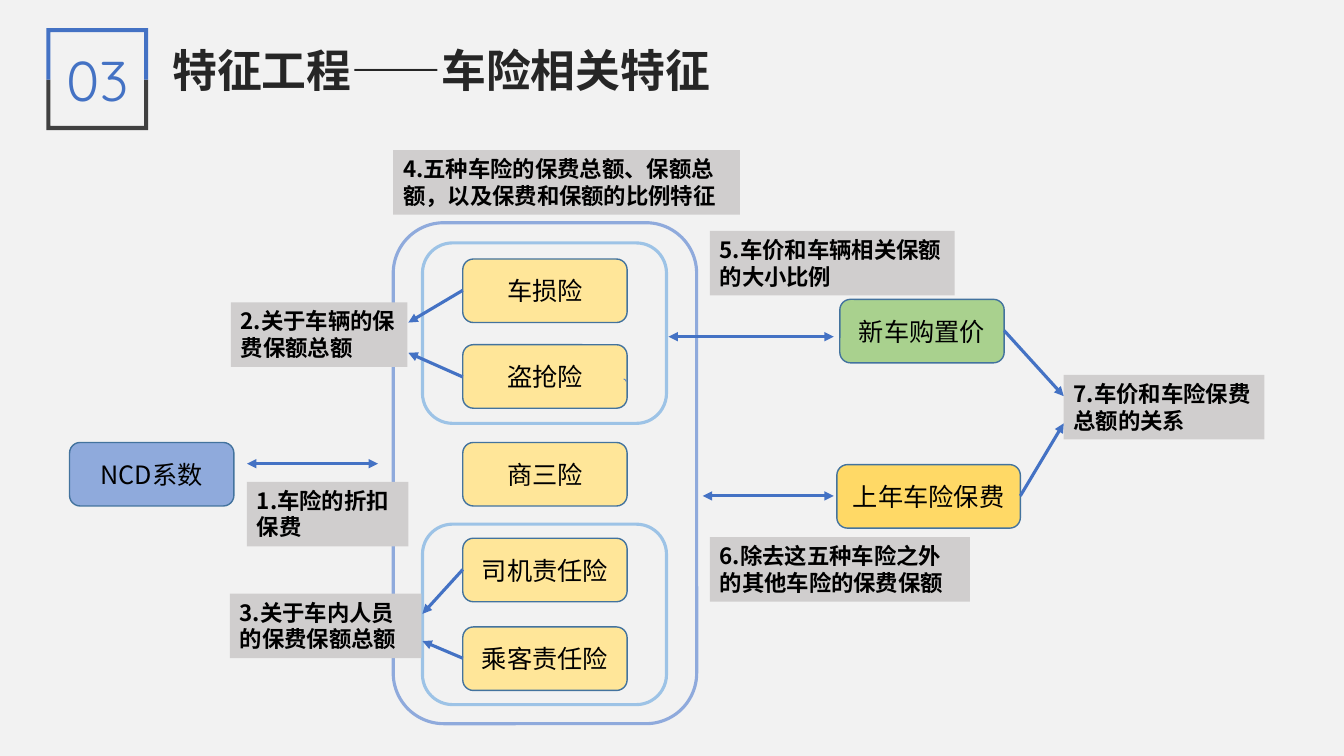
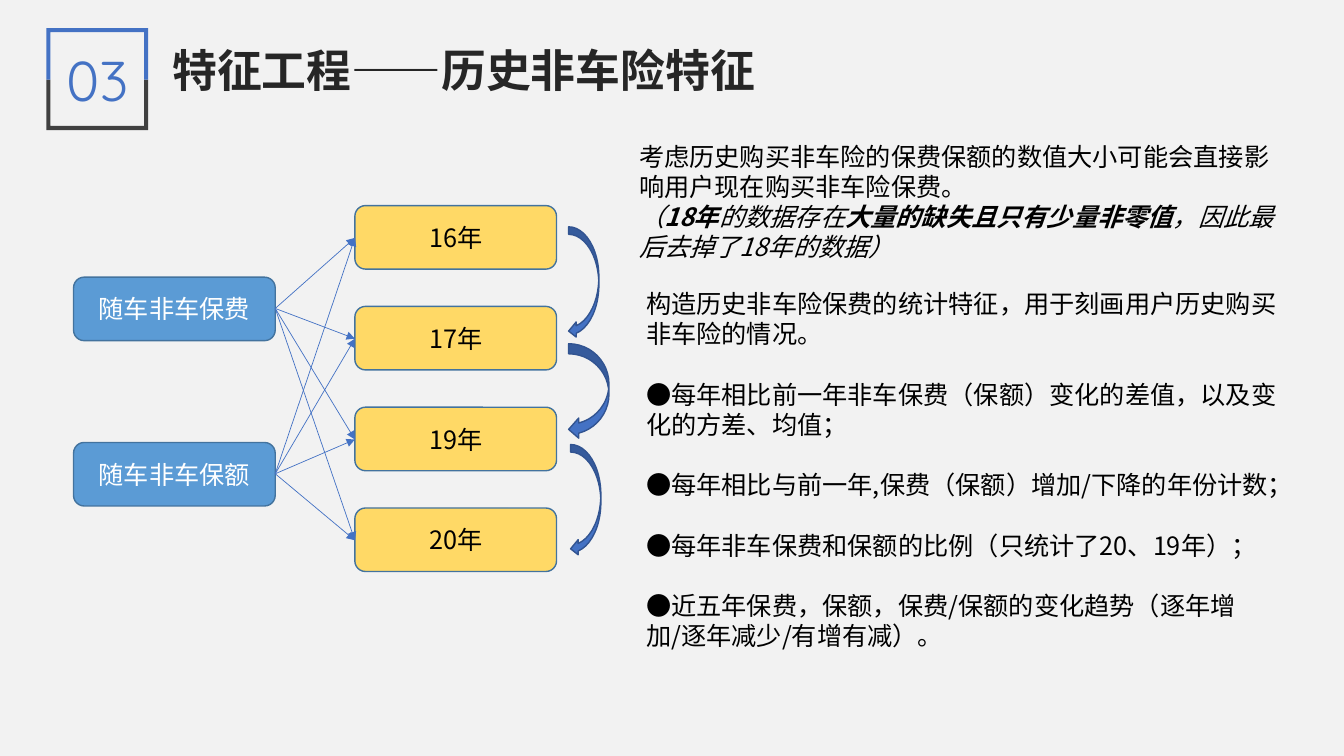
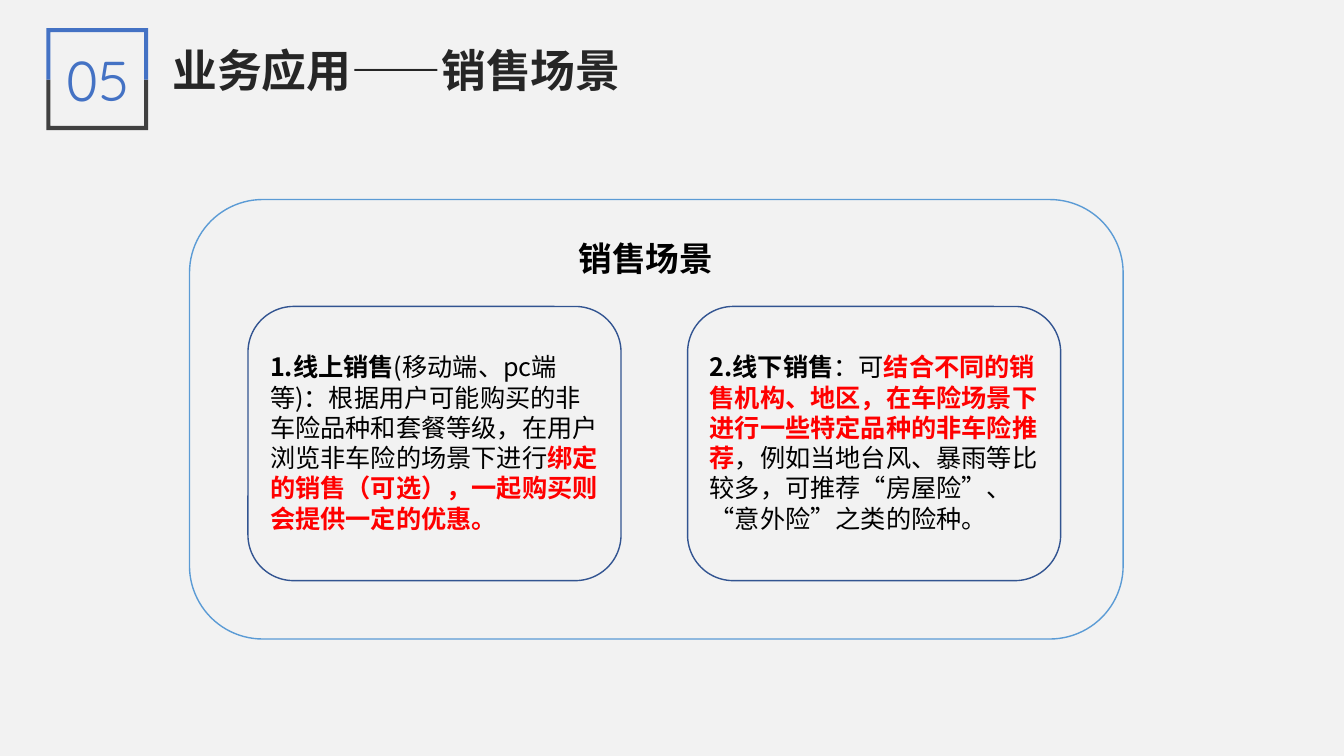
"""Build three slides on insurance features and sales scenarios."""
from lxml import etree
from pptx import Presentation
from pptx.dml.color import RGBColor
from pptx.enum.shapes import MSO_CONNECTOR, MSO_SHAPE
from pptx.enum.text import MSO_ANCHOR, MSO_AUTO_SIZE, PP_ALIGN
from pptx.oxml.ns import qn
from pptx.util import Pt

PX = 9144
BODY_FONT = "Noto Sans CJK SC"
NUMBER_FONT = "Quicksand"

BACKGROUND = "F2F2F2"
BLACK = "000000"
WHITE = "FFFFFF"
RED = "FF0000"
TITLE_INK = "262626"
DARK = "404040"
BLUE = "4472C4"
DEEP_BLUE = "325491"
CARD_EDGE = "43739E"
PERIWINKLE = "8FAADC"
PALE_BLUE = "9DC3E6"
SKY = "5B9BD5"
CREAM = "FFE699"
GOLD = "FFD966"
GREEN = "A9D18E"
GREY = "D0CECE"

ROUNDED = MSO_SHAPE.ROUNDED_RECTANGLE
RECTANGLE = MSO_SHAPE.RECTANGLE
ARC = MSO_SHAPE.ARC
CURVED_ARROW = MSO_SHAPE.CURVED_LEFT_ARROW
STRAIGHT = MSO_CONNECTOR.STRAIGHT
LEFT = PP_ALIGN.LEFT
CENTER = PP_ALIGN.CENTER
TOP = MSO_ANCHOR.TOP
MIDDLE = MSO_ANCHOR.MIDDLE
GROW = MSO_AUTO_SIZE.SHAPE_TO_FIT_TEXT

CARD_HEIGHT = 63


def rgb(value):
    """Turn a hex string into a colour."""
    return RGBColor.from_string(value)


def emu(lengths):
    """Turn pixel lengths into EMU."""
    return [length * PX for length in lengths]


def write(frame, paragraphs, size, color=BLACK, bold=False, align=LEFT,
          font=BODY_FONT, gap=0):
    """Fill a frame with strings or lists of (text, emphasis colour) runs."""
    frame.word_wrap = True
    for index, content in enumerate(paragraphs):
        paragraph = frame.add_paragraph() if index else frame.paragraphs[0]
        paragraph.alignment = align
        paragraph.space_before = Pt(gap if index else 0)
        style = paragraph.font
        style.name, style.size, style.bold = font, Pt(size), bold
        style.color.rgb = rgb(color)
        defaults = paragraph._p.pPr.find(qn("a:defRPr"))
        etree.SubElement(defaults, qn("a:ea"), typeface=font)
        runs = [(content, None)] if isinstance(content, str) else content
        for text, emphasis in runs:
            run = paragraph.add_run()
            run.text = text
            if emphasis:
                run.font.bold = True
                run.font.color.rgb = rgb(emphasis)


def add_text(slide, box, paragraphs, size, **style):
    """Add a text box and return its text frame."""
    frame = slide.shapes.add_textbox(*emu(box)).text_frame
    write(frame, paragraphs, size, **style)
    return frame


def paint(shape, fill=None, line=None, width=1):
    """Set fill and outline, and drop the shadow."""
    shape.shadow.inherit = False
    if fill:
        shape.fill.solid()
        shape.fill.fore_color.rgb = rgb(fill)
    else:
        shape.fill.background()
    if line:
        shape.line.color.rgb = rgb(line)
        shape.line.width = Pt(width)
    else:
        shape.line.fill.background()


def add_figure(slide, preset, box, fill=None, line=None, width=1):
    """Add a painted preset shape."""
    figure = slide.shapes.add_shape(preset, *emu(box))
    paint(figure, fill, line, width)
    return figure


def add_card(slide, left, top, width, label, fill, ink=BLACK):
    """Add a rounded card with a centred label."""
    card = add_figure(slide, ROUNDED, (left, top, width, CARD_HEIGHT), fill, CARD_EDGE)
    card.text_frame.vertical_anchor = MIDDLE
    write(card.text_frame, [label], 18, ink, align=CENTER)


def add_callout(slide, left, top, width, label):
    """Add a grey two-line remark."""
    callout = add_figure(slide, RECTANGLE, (left, top, width, 64), GREY)
    callout.text_frame.vertical_anchor = TOP
    callout.text_frame.auto_size = GROW
    write(callout.text_frame, [label], 16, bold=True)


def add_arrow(slide, start, end, width, both=False):
    """Add a straight arrow with one or two heads."""
    arrow = slide.shapes.add_connector(STRAIGHT, *emu(start + end))
    arrow.line.color.rgb = rgb(BLUE)
    arrow.line.width = Pt(width)
    properties = arrow._element.spPr
    line = properties.find(qn("a:ln"))
    for tag in ("a:headEnd", "a:tailEnd") if both else ("a:tailEnd",):
        etree.SubElement(line, qn(tag), type="triangle")
    etree.SubElement(properties, qn("a:effectLst"))


def add_bracket(slide, edge, inner, color):
    """Add one half of the square around the section number."""
    middle = 79
    outline = slide.shapes.build_freeform(46, middle, scale=PX)
    outline.add_line_segments([
        (46, edge), (147, edge), (147, middle), (143, middle),
        (143, inner), (50, inner), (50, middle)])
    paint(outline.convert_to_shape(), color)


def add_slide(deck, number, title):
    """Add a slide with its section number and title."""
    slide = deck.slides.add_slide(deck.slide_layouts[6])
    add_bracket(slide, 129, 125, DARK)
    add_bracket(slide, 28, 32, BLUE)
    add_text(slide, (46, 40, 101, 77), [number], 40, color=BLUE,
             align=CENTER, font=NUMBER_FONT)
    heading = add_text(slide, (161, 37, 45 * len(title) + 19, 64), [title], 32,
                       color=TITLE_INK, bold=True)
    heading.word_wrap = False
    return slide


def build_car_features(deck):
    """Build the map of car insurance features."""
    slide = add_slide(deck, "03", "特征工程——车险相关特征")
    for top, label in ((257, "车损险"), (342, "盗抢险"), (439, "商三险"),
                       (534, "司机责任险"), (622, "乘客责任险")):
        add_card(slide, 459, top, 163, label, CREAM)
    add_card(slide, 69, 439, 163, "NCD系数", PERIWINKLE)
    add_card(slide, 833, 297, 163, "新车购置价", GREEN)
    add_card(slide, 830, 461, 182, "上年车险保费", GOLD)
    add_figure(slide, ROUNDED, (390, 221, 301, 497), line=PERIWINKLE, width=2.25)
    for top in (241, 520):
        add_figure(slide, ROUNDED, (419, top, 242, 179), line=PALE_BLUE, width=2.25)
    add_figure(slide, ARC, (616, 376, 5, 5), line=BLUE, width=0.5)
    for left, top, width, label in (
            (245, 478, 160, "1.车险的折扣保费"),
            (229, 300, 175, "2.关于车辆的保费保额总额"),
            (228, 589, 190, "3.关于车内人员的保费保额总额"),
            (390, 149, 344, "4.五种车险的保费总额、保额总额，以及保费和保额的比例特征"),
            (704, 229, 243, "5.车价和车辆相关保额的大小比例"),
            (704, 533, 258, "6.除去这五种车险之外的其他车险的保费保额"),
            (1055, 372, 199, "7.车价和车险保费总额的关系")):
        add_callout(slide, left, top, width, label)
    for start, end in (
            ((459, 288), (405, 320)), ((459, 374), (405, 350)),
            ((459, 565), (419, 609)), ((459, 653), (419, 636)),
            ((996, 328), (1055, 393)), ((1012, 492), (1055, 420))):
        add_arrow(slide, start, end, 2.25)
    for left, right, y in ((663, 827, 334), (697, 827, 492), (245, 375, 460)):
        add_arrow(slide, (left, y), (right, y), 2.25, both=True)


def build_history_features(deck):
    """Build the features drawn from past non-car insurance."""
    slide = add_slide(deck, "03", "特征工程——历史非车险特征")
    sources = {"随车非车保费": 275, "随车非车保额": 439}
    years = {year: 204 + 100 * row
             for row, year in enumerate(("16年", "17年", "19年", "20年"))}
    for label, top in sources.items():
        add_card(slide, 73, top, 200, label, SKY, WHITE)
    for label, top in years.items():
        add_card(slide, 352, top, 200, label, GOLD)
    for source_top in sources.values():
        for year_top in years.values():
            add_arrow(slide, (273, source_top + 31), (352, year_top + 32), 0.5)
    for box in ((564, 225, 30, 111), (564, 341, 40, 95), (566, 441, 30, 111)):
        add_figure(slide, CURVED_ARROW, box, BLUE, DEEP_BLUE)
    reason = add_text(slide, (624, 135, 667, 131), [
        "考虑历史购买非车险的保费保额的数值大小可能会直接影响用户现在购买非车险保费。",
        [("（", None), ("18年", BLACK), ("的数据存在", None),
         ("大量的缺失且只有少量非零值", BLACK),
         ("，因此最后去掉了18年的数据）", None)]], 18)
    reason.paragraphs[1].font.italic = True
    add_text(slide, (631, 281, 651, 404), [
        "构造历史非车险保费的统计特征，用于刻画用户历史购买非车险的情况。",
        "●每年相比前一年非车保费（保额）变化的差值，以及变化的方差、均值；",
        "●每年相比与前一年,保费（保额）增加/下降的年份计数；",
        "●每年非车保费和保额的比例（只统计了20、19年）；",
        "●近五年保费，保额，保费/保额的变化趋势（逐年增加/逐年减少/有增有减）。",
    ], 18, gap=21.6)


def build_sales(deck):
    """Build the two sales scenarios."""
    slide = add_slide(deck, "05", "业务应用——销售场景")
    add_figure(slide, ROUNDED, (188, 198, 926, 436), line=SKY)
    add_text(slide, (564, 231, 236, 50), ["销售场景"], 24, bold=True)
    online = [
        ("1.线上销售", BLACK),
        ("(移动端、pc端等)：根据用户可能购买的非车险品种和套餐等级，"
         "在用户浏览非车险的场景下进行", None),
        ("绑定的销售（可选），一起购买则会提供一定的优惠。", RED)]
    offline = [
        ("2.线下销售", BLACK), ("：可", None),
        ("结合不同的销售机构、地区，在车险场景下进行一些特定品种的非车险推荐", RED),
        ("，例如当地台风、暴雨等比较多，可推荐“房屋险”、“意外险”之类的险种。", None)]
    for left, scenario in ((246, online), (682, offline)):
        add_figure(slide, ROUNDED, (left, 304, 370, 272), line=DEEP_BLUE)
        add_text(slide, (left + 12, 344, 346, 192), [scenario], 18)


def main():
    """Build and save the deck."""
    deck = Presentation()
    deck.slide_width, deck.slide_height = emu((1333, 750))
    backdrop = deck.slide_master.background.fill
    backdrop.solid()
    backdrop.fore_color.rgb = rgb(BACKGROUND)
    build_car_features(deck)
    build_history_features(deck)
    build_sales(deck)
    deck.save("out.pptx")


if __name__ == "__main__":
    main()
